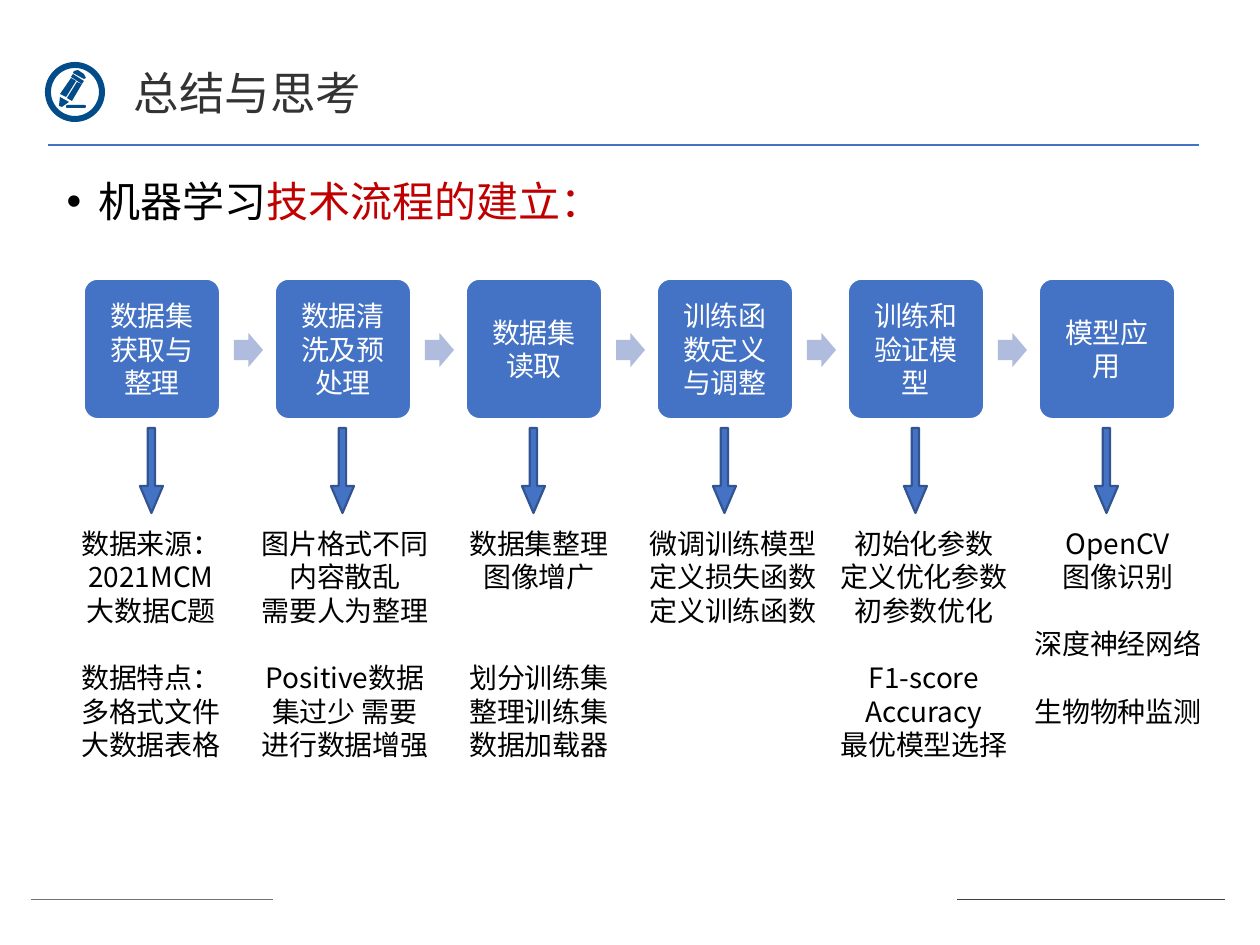
"""Build the summary slide showing the machine learning workflow."""
from lxml.etree import SubElement
from pptx import Presentation
from pptx.dml.color import RGBColor
from pptx.enum.shapes import MSO_CONNECTOR, MSO_SHAPE
from pptx.enum.text import MSO_ANCHOR, MSO_AUTO_SIZE, PP_ALIGN
from pptx.oxml.ns import qn
from pptx.util import Emu, Pt

FONT = "Noto Sans CJK SC"
BLUE = RGBColor(0x44, 0x72, 0xC4)
DARK_BLUE = RGBColor(0x32, 0x54, 0x91)
PALE_BLUE = RGBColor(0xB0, 0xBC, 0xDE)
ICON_BLUE = RGBColor(0x02, 0x4C, 0x89)
RED = RGBColor(0xC0, 0x00, 0x00)
TITLE_GREY = RGBColor(0x33, 0x33, 0x33)
LEFT_GREY = RGBColor(0x70, 0x70, 0x70)
RIGHT_GREY = RGBColor(0x40, 0x40, 0x40)
WHITE = RGBColor(0xFF, 0xFF, 0xFF)
BLACK = RGBColor(0x00, 0x00, 0x00)
PX = 914400 / 126
STEP_PITCH = 191
LINE_HEIGHT = 19.2


def box(*lengths):
    return [Emu(round(length * PX)) for length in lengths]


def add_run(paragraph, text, size, color):
    run = paragraph.add_run()
    run.text = text
    run.font.size = Pt(size)
    run.font.name = FONT
    run.font.color.rgb = color
    SubElement(run.font._element, qn("a:ea"), typeface=FONT)


presentation = Presentation()
presentation.slide_width, presentation.slide_height = box(1260, 945)
slide = presentation.slides.add_slide(presentation.slide_layouts[1])
shapes = slide.shapes

title, body = slide.placeholders
title.left, title.top, title.width, title.height = box(121, 64, 868, 63)
title.text_frame.vertical_anchor = MSO_ANCHOR.MIDDLE
title.text_frame.auto_size = MSO_AUTO_SIZE.NONE
paragraph = title.text_frame.paragraphs[0]
paragraph.alignment = PP_ALIGN.LEFT
paragraph.line_spacing = 0.9
add_run(paragraph, "总结与思考", 26, TITLE_GREY)

body.left, body.top, body.width, body.height = box(54, 175, 1131, 706)
body.text_frame.auto_size = MSO_AUTO_SIZE.NONE
paragraph = body.text_frame.paragraphs[0]
paragraph.line_spacing = 0.9
paragraph.space_before = Pt(0)
properties = paragraph._p.get_or_add_pPr()
properties.set("marL", "228600")
properties.set("indent", "-228600")
SubElement(properties, qn("a:buFont"), typeface="Arial")
SubElement(properties, qn("a:buChar"), char="•")
add_run(paragraph, "机器学习", 24, BLACK)
add_run(paragraph, "技术流程的建立：", 24, RED)

ring = shapes.add_shape(MSO_SHAPE.DONUT, *box(45, 62, 60, 60))
ring.adjustments[0] = 0.1
baseline = shapes.add_shape(MSO_SHAPE.ROUNDED_RECTANGLE, *box(66, 105, 20, 3))
baseline.adjustments[0] = 0.5
icon_parts = [ring, baseline]
pencil_outlines = [
    [(67, 98), (77, 82), (82, 84), (72, 101)],
    [(60, 94), (71, 78), (76, 81), (66, 97)],
    [(59, 106), (60, 97), (69, 102), (62, 107)],
    [(73, 74), (84, 81), (82, 84), (71, 77)],
    [(74, 71), (78, 70), (84, 74), (86, 78), (84, 79), (73, 73)],
]
for start, *points in pencil_outlines:
    builder = shapes.build_freeform(*start, scale=PX)
    builder.add_line_segments(points)
    icon_parts.append(builder.convert_to_shape())
for part in icon_parts:
    part.shadow.inherit = False
    part.fill.solid()
    part.fill.fore_color.rgb = ICON_BLUE
    part.line.fill.background()

rules = [
    (48, 1199, 145, BLUE, 1.5),
    (31, 273, 899, LEFT_GREY, 0.5),
    (957, 1225, 899, RIGHT_GREY, 0.5),
]
for left, right, top, color, width in rules:
    rule = shapes.add_connector(MSO_CONNECTOR.STRAIGHT, *box(left, top, right, top))
    rule.line.color.rgb = color
    rule.line.width = Pt(width)
    SubElement(rule._element.spPr, qn("a:effectLst"))

steps = ["数据集获取与整理", "数据清洗及预处理", "数据集读取",
         "训练函数定义与调整", "训练和验证模型", "模型应用"]
for index, step in enumerate(steps):
    offset = index * STEP_PITCH
    card = shapes.add_shape(MSO_SHAPE.ROUNDED_RECTANGLE, *box(84 + offset, 279, 136, 140))
    card.adjustments[0] = 0.1
    down_arrow = shapes.add_shape(MSO_SHAPE.DOWN_ARROW, *box(140 + offset, 428, 23, 85))
    down_arrow.adjustments[0] = 0.315
    down_arrow.adjustments[1] = 1.169
    parts = [(card, BLUE, WHITE, 1), (down_arrow, BLUE, DARK_BLUE, 1.25)]
    if index < len(steps) - 1:
        next_arrow = shapes.add_shape(MSO_SHAPE.RIGHT_ARROW, *box(234 + offset, 333, 29, 34))
        next_arrow.adjustments[0] = 0.6
        parts.append((next_arrow, PALE_BLUE, None, 0))
    for shape, fill, outline, width in parts:
        shape.shadow.inherit = False
        shape.fill.solid()
        shape.fill.fore_color.rgb = fill
        if outline is None:
            shape.line.fill.background()
        else:
            shape.line.color.rgb = outline
            shape.line.width = Pt(width)
    frame = card.text_frame
    frame.word_wrap = True
    frame.vertical_anchor = MSO_ANCHOR.MIDDLE
    frame.margin_left, frame.margin_right, frame.margin_top, frame.margin_bottom = box(13, 13, 13, 13)
    frame.paragraphs[0].alignment = PP_ALIGN.CENTER
    add_run(frame.paragraphs[0], step, 16, WHITE)

captions = [
    (54, 251, 1, [["数据来源：", "2021MCM", "大数据C题"], ["数据特点：", "多格式文件", "大数据表格"]]),
    (248, 251, 1, [["图片格式不同", "内容散乱", "需要人为整理"], ["Positive数据集过少 需要进行数据增强"]]),
    (442, 251, 2, [["数据集整理", "图像增广"], ["划分训练集", "整理训练集", "数据加载器"]]),
    (636, 115, 0, [["微调训练模型", "定义损失函数", "定义训练函数"]]),
    (827, 251, 1, [["初始化参数", "定义优化参数", "初参数优化"], ["F1-score", "Accuracy", "最优模型选择"]]),
    (1021, 217, 1, [["OpenCV", "图像识别"], ["深度神经网络"], ["生物物种监测"]]),
]
for left, height, gap_lines, groups in captions:
    frame = shapes.add_textbox(*box(left, 520, 194, height)).text_frame
    frame.word_wrap = True
    paragraph = frame.paragraphs[0]
    for group_index, group in enumerate(groups):
        for line_index, line in enumerate(group):
            if group_index or line_index:
                paragraph = frame.add_paragraph()
            if group_index and line_index == 0:
                paragraph.space_before = Pt(gap_lines * LINE_HEIGHT)
            paragraph.alignment = PP_ALIGN.CENTER
            add_run(paragraph, line, 16, BLACK)

presentation.save("out.pptx")
